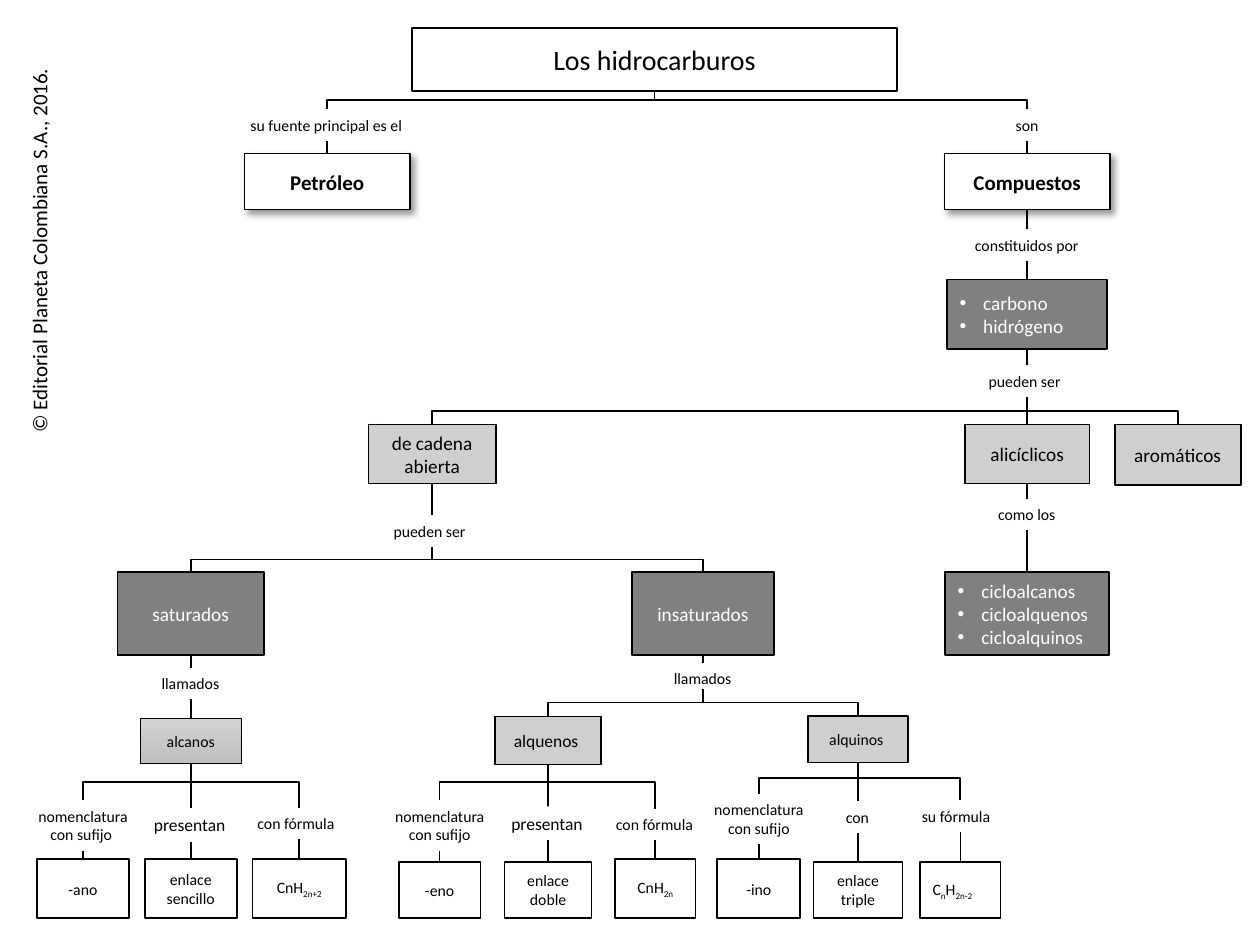
from lxml import etree
from pptx import Presentation
from pptx.dml.color import RGBColor
from pptx.enum.shapes import MSO_CONNECTOR as LINK, MSO_SHAPE
from pptx.enum.text import MSO_ANCHOR, MSO_AUTO_SIZE as FIT, PP_ALIGN
from pptx.oxml.ns import qn
from pptx.util import Pt

COLORS = {"black": "000000", "white": "FFFFFF", "dark": "808080",
          "light": "D0CECE", "pale": "D2D2D2", "silver": "C0C0C0"}
COLORS = {name: RGBColor.from_string(value) for name, value in COLORS.items()}


def write(shape, text, size, color="black", align=PP_ALIGN.CENTER, bold=False):
    frame = shape.text_frame
    frame.text = text
    for para in frame.paragraphs:
        para.alignment = align
        pieces = para.text.split("|")
        para.runs[0].text = pieces[0]
        for piece in pieces[1:]:
            para.add_run().text = piece
        for index, span in enumerate(para.runs):
            span.font.name = "Calibri"
            span.font.size = Pt(size)
            span.font.bold = bold
            span.font.color.rgb = COLORS[color]
            if index % 2:
                span.font._element.set("baseline", "-25000")


def outline(shape, fill, width=1):
    shape.fill.solid()
    shape.fill.fore_color.rgb = COLORS[fill]
    shape.line.color.rgb = COLORS["black"]
    shape.line.width = Pt(width)


deck = Presentation()
deck.slide_width, deck.slide_height = Pt(720), Pt(540)
page = deck.slides.add_slide(deck.slide_layouts[5])

credit = page.shapes.add_textbox(Pt(-90), Pt(131), Pt(224.6), Pt(21.6))
credit.rotation = 270
credit.text_frame.word_wrap = False
write(credit, "© Editorial Planeta Colombiana S.A., 2016.", 12, align=PP_ALIGN.LEFT)

title = page.shapes.title
title.left, title.top, title.width, title.height = Pt(235.5), Pt(16), Pt(277), Pt(36)
outline(title, "white")
title.text_frame.auto_size = FIT.NONE
title.text_frame.vertical_anchor = MSO_ANCHOR.MIDDLE
write(title, "Los hidrocarburos", 16)

STYLES = {"key": ("white", "black", 12), "dark": ("dark", "white", 11),
          "light": ("light", "black", 11), "medium": ("light", "black", 10),
          "small": ("light", "black", 9), "gradient": ("pale", "black", 9),
          "leaf": ("white", "black", 9), "list": ("dark", "white", 11),
          "formula": ("white", "black", 9)}
LABELS = {"label": 9, "pair": 9, "wrapped": 9, "verb": 10}

# name, parent, centre x, top, width, height, style, text
NODES = [
    ("fuente", "título", 187, 62.6, 102, 18, "label", "su fuente principal es el"),
    ("son", "título", 587, 62.6, 27.4, 18, "label", "son"),
    ("petróleo", "fuente", 187, 87.8, 94.4, 32, "key", "Petróleo"),
    ("compuestos", "son", 587, 87.8, 94.4, 32, "key", "Compuestos"),
    ("constituidos", "compuestos", 587, 131, 74, 18, "label", "constituidos por"),
    ("elementos", "constituidos", 587, 159.8, 91.5, 39.6, "list", "carbono\nhidrógeno"),
    ("tipos", "elementos", 587, 208.8, 58.3, 18, "label", "pueden ser"),
    ("cadena", "tipos", 247, 242.6, 72.8, 33.8, "light", "de cadena abierta"),
    ("alicíclicos", "tipos", 587, 242.6, 71.3, 33.8, "light", "alicíclicos"),
    ("aromáticos", "tipos", 673, 242.6, 72, 34.4, "light", "aromáticos"),
    ("como", "alicíclicos", 587, 285.1, 47.5, 18, "label", "como los"),
    ("ciclos", "como", 587, 326.9, 93.6, 47.5, "list",
     "cicloalcanos\ncicloalquenos\ncicloalquinos"),
    ("enlaces", "cadena", 247, 294.5, 58.3, 18, "label", "pueden ser"),
    ("saturados", "enlaces", 109, 326.9, 83.5, 47.5, "dark", "saturados"),
    ("insaturados", "enlaces", 401.7, 326.9, 81.4, 47.5, "dark", "insaturados"),
    ("llamados sat", "saturados", 109, 381.6, 47.5, 18, "label", "llamados"),
    ("llamados insat", "insaturados", 401.7, 378.7, 47.5, 15.2, "label", "llamados"),
    ("alcanos", "llamados sat", 109, 410.4, 57.6, 25.9, "gradient", "alcanos"),
    ("alquenos", "llamados insat", 313.2, 409.5, 60.5, 27.4, "medium", "alquenos "),
    ("alquinos", "llamados insat", 490.3, 409, 56.9, 26.8, "small", "alquinos "),
    ("sufijo 1", "alcanos", 47.4, 457.2, 66.2, 28.8, "pair", "nomenclatura\ncon sufijo "),
    ("enlace 1", "alcanos", 109, 461.5, 56.2, 19.4, "verb", "presentan"),
    ("fórmula 1", "alcanos", 171, 461.5, 62, 18, "wrapped", "con fórmula"),
    ("sufijo 2", "alquenos", 251.2, 457.2, 66.2, 28.8, "pair", "nomenclatura\ncon sufijo"),
    ("enlace 2", "alquenos", 313.2, 460.8, 56.2, 19.4, "verb", "presentan"),
    ("fórmula 2", "alquenos", 374.4, 462.2, 59, 18, "label", "con fórmula"),
    ("sufijo 3", "alquinos", 433.6, 453.6, 66.2, 28.8, "pair", "nomenclatura\ncon sufijo"),
    ("enlace 3", "alquinos", 490.3, 457.9, 28, 18, "label", "con"),
    ("fórmula 3", "alquinos", 548.8, 457.2, 58.3, 18, "wrapped", "su fórmula"),
    ("ano", "sufijo 1", 47.4, 491, 52.6, 33.8, "leaf", "-ano"),
    ("sencillo", "enlace 1", 109, 491, 52.6, 33.8, "leaf", "enlace sencillo"),
    ("alcano", "fórmula 1", 171, 491, 53.3, 33.8, "leaf", "CnH|2n+2"),
    ("eno", "sufijo 2", 251.2, 492.4, 46.8, 32.4, "leaf", "-eno"),
    ("doble", "enlace 2", 313.2, 492.4, 49.7, 32.4, "leaf", "enlace doble"),
    ("alqueno", "fórmula 2", 374.4, 491, 46, 33.8, "leaf", "CnH|2n"),
    ("ino", "sufijo 3", 433.6, 491, 47.5, 33.8, "leaf", "-ino"),
    ("triple", "enlace 3", 490.3, 492.4, 51, 32.4, "leaf", "enlace triple"),
    ("alquino", "fórmula 3", 548.8, 492.4, 46, 32.4, "formula", "C|n|H|2n-2"),
]

shapes = {"título": title}
for name, parent, center, top, width, height, style, text in NODES:
    place = Pt(center - width / 2), Pt(top), Pt(width), Pt(height)
    if style in LABELS:
        box = page.shapes.add_textbox(*place)
        box.text_frame.word_wrap = style == "wrapped"
        box.text_frame.auto_size = FIT.SHAPE_TO_FIT_TEXT
        align = PP_ALIGN.CENTER if style == "pair" else PP_ALIGN.LEFT
        write(box, text, LABELS[style], align=align)
    else:
        fill, color, size = STYLES[style]
        box = page.shapes.add_shape(MSO_SHAPE.RECTANGLE, *place)
        box.shadow.inherit = False
        outline(box, fill, 0.5 if style == "gradient" else 1)
        box.text_frame.word_wrap = True
        box.text_frame.vertical_anchor = MSO_ANCHOR.MIDDLE
        align = PP_ALIGN.LEFT if style in ("list", "formula") else PP_ALIGN.CENTER
        write(box, text, size, color, align, style == "key")
    if style == "gradient":
        box.fill.gradient()
        box.fill.gradient_angle = 270
        for stop, shade in zip(box.fill.gradient_stops, ("pale", "silver")):
            stop.color.rgb = COLORS[shade]
    if style == "key":
        effects = box._element.spPr.find(qn("a:effectLst"))
        shadow = etree.SubElement(effects, qn("a:outerShdw"), blurRad=str(Pt(4)),
                                  dist=str(Pt(3)), dir="2700000", algn="tl", rotWithShape="0")
        tint = etree.SubElement(shadow, qn("a:srgbClr"), val="000000")
        etree.SubElement(tint, qn("a:alpha"), val="40000")
    if style == "list":
        for para in box.text_frame.paragraphs:
            props = para._p.get_or_add_pPr()
            props.set("marL", str(Pt(13.5)))
            props.set("indent", str(-Pt(13.5)))
            etree.SubElement(props, qn("a:buFont"), typeface="Arial")
            etree.SubElement(props, qn("a:buChar"), char="•")
    shapes[name] = box

for name, parent, *rest in NODES:
    upper, lower = shapes[parent], shapes[name]
    start, end = upper.left + upper.width // 2, lower.left + lower.width // 2
    base, top = upper.top + upper.height, lower.top
    if abs(end - start) < Pt(1):
        link = page.shapes.add_connector(LINK.STRAIGHT, start, base, end, top)
        link.begin_connect(upper, 2)
        link.end_connect(lower, 0)
    else:
        drop, reach = top - base, abs(end - start)
        left, head = (start + end - drop) // 2, (base + top - reach) // 2
        link = page.shapes.add_connector(LINK.ELBOW, left, head, left + drop, head + reach)
        frame = link._element.spPr.find(qn("a:xfrm"))
        frame.set("rot", "5400000" if end < start else "16200000")
        if end > start:
            frame.set("flipH", "1")
        nearest = min(shapes[node[0]].top for node in NODES if node[1] == parent)
        bend = round(50000 * (nearest - base) / drop)
        guides = link._element.spPr.find(qn("a:prstGeom")).find(qn("a:avLst"))
        etree.SubElement(guides, qn("a:gd"), name="adj1", fmla=f"val {bend}")
    link.line.color.rgb = COLORS["black"]
    link.line.width = Pt(1)
    etree.SubElement(link._element.spPr, qn("a:effectLst"))

deck.save("out.pptx")
